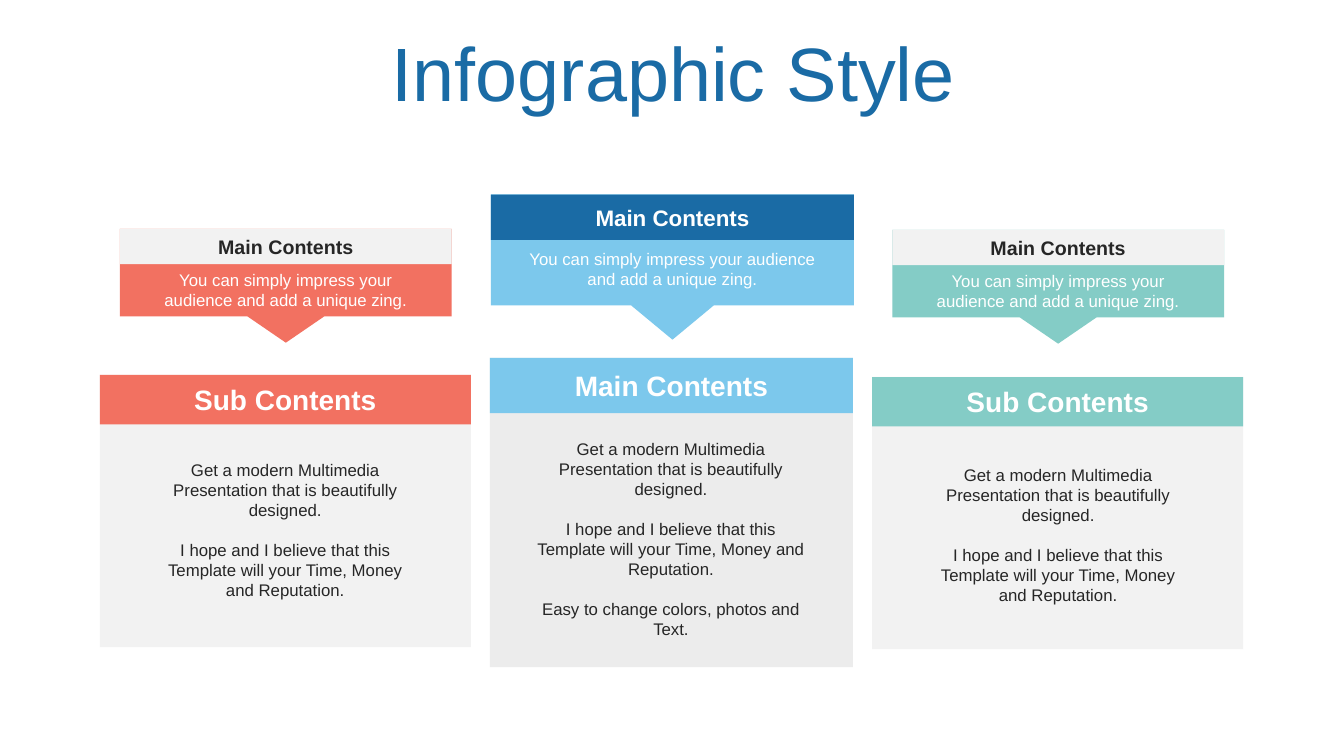
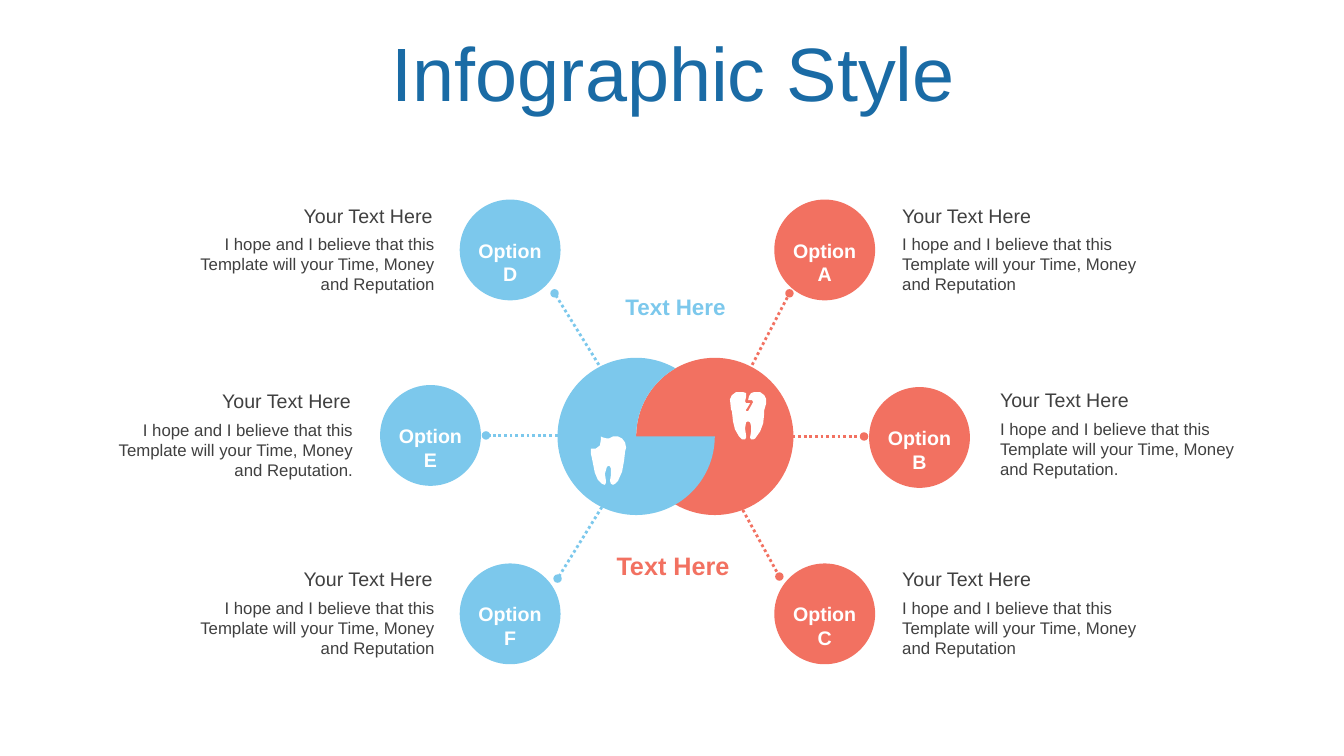
from math import cos, radians, sin

from lxml.etree import SubElement
from pptx import Presentation
from pptx.dml.color import RGBColor
from pptx.enum.dml import MSO_LINE
from pptx.enum.shapes import MSO_CONNECTOR, MSO_SHAPE
from pptx.enum.text import MSO_ANCHOR, PP_ALIGN
from pptx.oxml.ns import qn
from pptx.util import Inches, Pt

FONT = "Arial"
NAVY, SKY, CORAL, MINT = "1A6BA5", "7CC8EC", "F27161", "84CCC6"
WHITE, PALE, GREY, DARK, TEXT = "FFFFFF", "F2F2F2", "ECECEC", "262626", "404040"
LEFT, CENTER, RIGHT = PP_ALIGN.LEFT, PP_ALIGN.CENTER, PP_ALIGN.RIGHT
TITLE = "Infographic Style"

PITCH = "You can simply impress your audience and add a unique zing."
BODY = [
    "Get a modern Multimedia Presentation that is beautifully designed.",
    "I hope and I believe that this Template will your Time, Money and Reputation.",
]
EXTRA = "Easy to change colors, photos and Text."
SMALL = dict(width=3.29, stem=0.87, tip=1.13, half=0.38, head=0.35, size=14,
             head_fill=PALE, head_color=DARK, pitch_width=2.81, pitch_drop=0.36)
LARGE = dict(width=3.6, stem=1.1, tip=1.44, half=0.41, head=0.45, size=16,
             head_fill=NAVY, head_color=WHITE, pitch_width=3.14, pitch_drop=0.49)
COLUMNS = [
    dict(callout=(1.19, 2.27), style=SMALL, color=CORAL, heading="Sub Contents",
         card=(0.99, 3.72, 3.68, 2.7), band=0.49, card_fill=PALE,
         body=(1.41, 4.51, 2.84, 1.72), paragraphs=BODY),
    dict(callout=(4.87, 1.93), style=LARGE, color=SKY, heading="Main Contents",
         card=(4.86, 3.55, 3.6, 3.07), band=0.55, card_fill=GREY,
         body=(5.16, 4.3, 2.99, 2.12), paragraphs=BODY + [EXTRA]),
    dict(callout=(8.85, 2.28), style=SMALL, color=MINT, heading="Sub Contents",
         card=(8.65, 3.74, 3.68, 2.7), band=0.49, card_fill=PALE,
         body=(9.12, 4.56, 2.75, 1.72), paragraphs=BODY),
]

HOPE = "I hope and I believe that this Template will your Time, Money and Reputation"
OPTIONS = [
    ("Option A", CORAL, (7.68, 1.98), (7.46, 3.62), (7.83, 2.91), (8.85, 1.97), LEFT, HOPE),
    ("Option B", CORAL, (8.62, 3.84), (7.86, 4.33), (8.57, 4.33), (9.82, 3.8), LEFT, HOPE + "."),
    ("Option C", CORAL, (7.68, 5.59), (7.34, 5.01), (7.73, 5.72), (8.85, 5.58), LEFT, HOPE),
    ("Option D", SKY, (4.56, 1.98), (5.94, 3.62), (5.5, 2.91), (1.83, 1.97), RIGHT, HOPE),
    ("Option E", SKY, (3.77, 3.82), (5.53, 4.32), (4.82, 4.32), (1.02, 3.81), RIGHT, HOPE + "."),
    ("Option F", SKY, (4.56, 5.59), (5.97, 5.03), (5.53, 5.74), (1.83, 5.58), RIGHT, HOPE),
]
CENTER_LABELS = [((6.06, 2.86, 1.28, 0.37), 16, SKY), ((6, 5.41, 1.35, 0.4), 18, CORAL)]
RADIUS, HUB_Y, SKY_X, CORAL_X = 0.78, 4.33, 6.31, 7.09
CRACKED_TOOTH = [
    (7.44, 4), (7.41, 4.05), (7.4, 4.06), (7.4, 4.08), (7.42, 4.08), (7.47, 3.99),
    (7.46, 3.97), (7.42, 3.97), (7.43, 3.93), (7.45, 3.9), (7.48, 3.89), (7.54, 3.89),
    (7.58, 3.92), (7.6, 3.96), (7.6, 4), (7.58, 4.07), (7.58, 4.1), (7.57, 4.2),
    (7.54, 4.28), (7.49, 4.35), (7.47, 4.36), (7.45, 4.36), (7.44, 4.34), (7.45, 4.28),
    (7.45, 4.23), (7.44, 4.19), (7.42, 4.18), (7.4, 4.19), (7.39, 4.25), (7.4, 4.32),
    (7.4, 4.34), (7.39, 4.36), (7.36, 4.36), (7.33, 4.33), (7.29, 4.26), (7.27, 4.18),
    (7.26, 4.08), (7.25, 4.06), (7.24, 3.96), (7.26, 3.92), (7.3, 3.89), (7.37, 3.89),
    (7.4, 3.9), (7.4, 3.94), (7.39, 3.98), (7.4, 4),
]
CHIPPED_TOOTH = [
    (6.21, 4.44), (6.2, 4.48), (6.19, 4.57), (6.17, 4.68), (6.13, 4.77), (6.1, 4.8),
    (6.08, 4.81), (6.06, 4.8), (6.05, 4.77), (6.06, 4.71), (6.06, 4.65), (6.05, 4.63),
    (6.04, 4.62), (6.02, 4.63), (6, 4.7), (6.01, 4.77), (6.01, 4.79), (6, 4.81),
    (5.97, 4.8), (5.93, 4.76), (5.9, 4.69), (5.87, 4.54), (5.86, 4.5), (5.86, 4.45),
    (5.91, 4.45), (5.95, 4.42), (5.96, 4.36), (5.96, 4.33), (5.98, 4.34), (6.02, 4.35),
    (6.04, 4.35), (6.08, 4.33), (6.13, 4.33), (6.17, 4.35), (6.2, 4.39),
]


def rgb(color):
    return RGBColor.from_string(color)


def paint(shape, color):
    shape.shadow.inherit = False
    shape.fill.solid()
    shape.fill.fore_color.rgb = rgb(color)
    shape.line.fill.background()
    return shape


def add_shape(page, kind, place, color):
    return paint(page.shapes.add_shape(kind, *map(Inches, place)), color)


def add_outline(page, points, color):
    corners = [(Inches(x), Inches(y)) for x, y in points]
    builder = page.shapes.build_freeform(*corners[0])
    builder.add_line_segments(corners[1:], close=True)
    return paint(builder.convert_to_shape(), color)


def write(shape, paragraphs, size, color, bold=False, align=CENTER, anchor=MSO_ANCHOR.MIDDLE):
    frame = shape.text_frame
    frame.word_wrap = True
    frame.vertical_anchor = anchor
    for index, content in enumerate(paragraphs):
        para = frame.add_paragraph() if index else frame.paragraphs[0]
        para.text = content
        para.alignment = align
        if index:
            para.space_before = Pt(14)
        for span in para.runs:
            span.font.name = FONT
            span.font.size = Pt(size)
            span.font.bold = bold
            span.font.color.rgb = rgb(color)
    return frame


def add_text(page, place, paragraphs, size, color, bold=False, align=CENTER,
             anchor=MSO_ANCHOR.TOP):
    box = page.shapes.add_textbox(*map(Inches, place))
    return write(box, paragraphs, size, color, bold, align, anchor)


def add_page(deck):
    page = deck.slides.add_slide(deck.slide_layouts[6])
    frame = add_text(page, (0.35, 0.37, 12.66, 0.79), [TITLE], 54, NAVY,
                     anchor=MSO_ANCHOR.MIDDLE)
    frame.paragraphs[0].line_spacing = 0.9
    return page


def add_callout(page, left, top, color, style):
    width, half = style["width"], style["half"]
    right, middle = left + width, left + width / 2
    stem, tip = top + style["stem"], top + style["tip"]
    add_outline(page, [(left, top), (right, top), (right, stem), (middle + half, stem),
                       (middle, tip), (middle - half, stem), (left, stem)], color)
    head = add_shape(page, MSO_SHAPE.RECTANGLE, (left, top, width, style["head"]),
                     style["head_fill"])
    write(head, ["Main Contents"], style["size"], style["head_color"], bold=True)
    pitch_width = style["pitch_width"]
    add_text(page, (middle - pitch_width / 2, top + style["pitch_drop"], pitch_width, 0.5),
             [PITCH], 12, WHITE)


def add_column(page, column):
    left, top, width, height = column["card"]
    add_shape(page, MSO_SHAPE.RECTANGLE, (left, top, width, height), column["card_fill"])
    band = add_shape(page, MSO_SHAPE.RECTANGLE, (left, top, width, column["band"]),
                     column["color"])
    write(band, [column["heading"]], 20, WHITE, bold=True)
    add_callout(page, *column["callout"], column["color"], column["style"])
    add_text(page, column["body"], column["paragraphs"], 12, DARK)


def add_dotted_line(page, start, end, color):
    connector = page.shapes.add_connector(MSO_CONNECTOR.STRAIGHT, *map(Inches, start + end))
    connector.line.color.rgb = rgb(color)
    connector.line.width = Pt(2)
    connector.line.dash_style = MSO_LINE.ROUND_DOT
    properties = connector.element.spPr
    SubElement(properties.find(qn("a:ln")), qn("a:tailEnd"), type="oval")
    SubElement(properties, qn("a:effectLst"))


def arc(center_x, first, last, step):
    return [(center_x + RADIUS * cos(radians(angle)), HUB_Y + RADIUS * sin(radians(angle)))
            for angle in range(first, last + step, step)]


def add_hub(page):
    add_shape(page, MSO_SHAPE.OVAL,
              (CORAL_X - RADIUS, HUB_Y - RADIUS, 2 * RADIUS, 2 * RADIUS), CORAL)
    add_outline(page, arc(SKY_X, 0, 300, 3) + arc(CORAL_X, 240, 180, -3), SKY)
    for tooth in (CRACKED_TOOTH, CHIPPED_TOOTH):
        add_outline(page, tooth, WHITE)
    for place, size, color in CENTER_LABELS:
        add_text(page, place, ["Text Here"], size, color, bold=True)


def add_option(page, label, color, corner, start, end, note, align, content):
    circle = add_shape(page, MSO_SHAPE.OVAL, corner + (1, 1), color)
    frame = write(circle, [label], 14, WHITE, bold=True, anchor=MSO_ANCHOR.TOP)
    frame.margin_left = frame.margin_right = frame.margin_bottom = 0
    frame.margin_top = Inches(0.24)
    add_dotted_line(page, start, end, color)
    left, top = note
    add_text(page, (left, top, 2.56, 0.34), ["Your Text Here"], 14, TEXT, align=align)
    add_text(page, (left, top + 0.3, 2.58, 0.71), [content], 12, TEXT, align=align)


def main():
    """Build the two infographic slides and save the deck."""
    deck = Presentation()
    deck.slide_width, deck.slide_height = Inches(13.33), Inches(7.5)
    columns_page = add_page(deck)
    for column in COLUMNS:
        add_column(columns_page, column)
    options_page = add_page(deck)
    add_hub(options_page)
    for option in OPTIONS:
        add_option(options_page, *option)
    deck.save("out.pptx")


if __name__ == "__main__":
    main()
